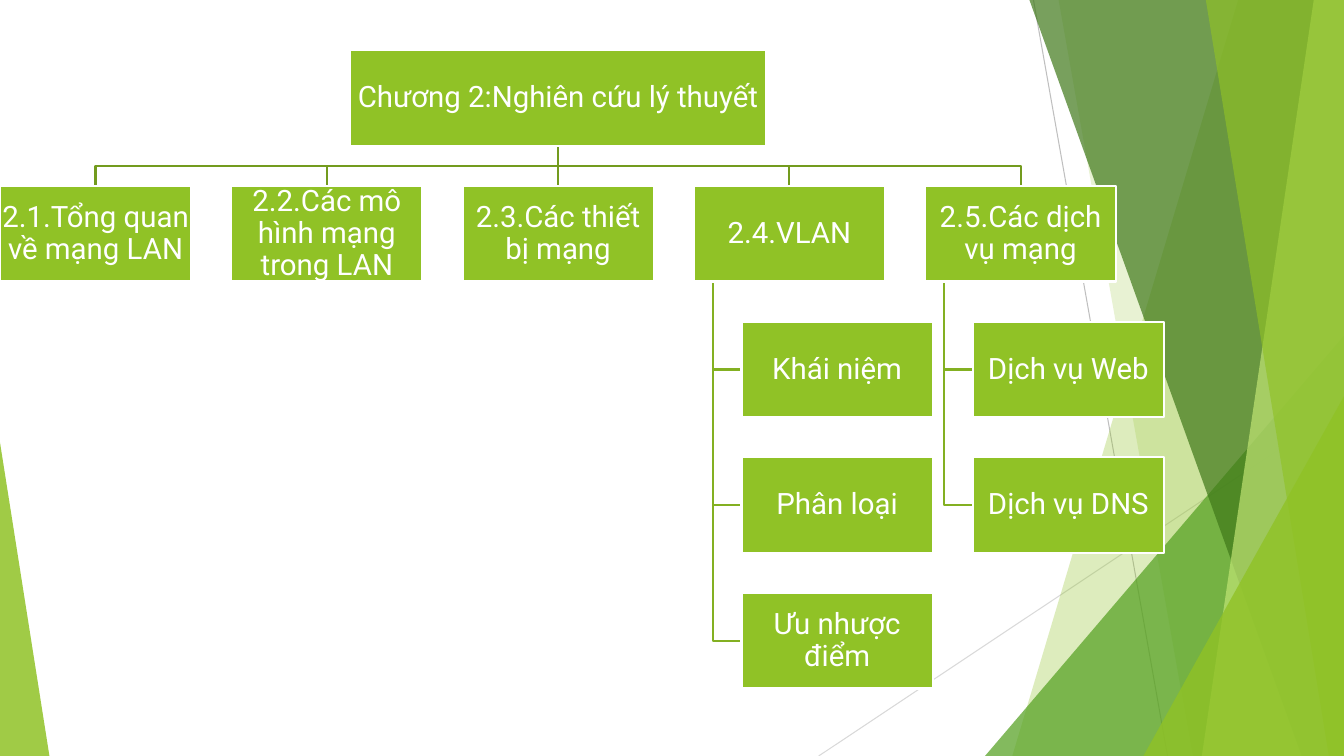
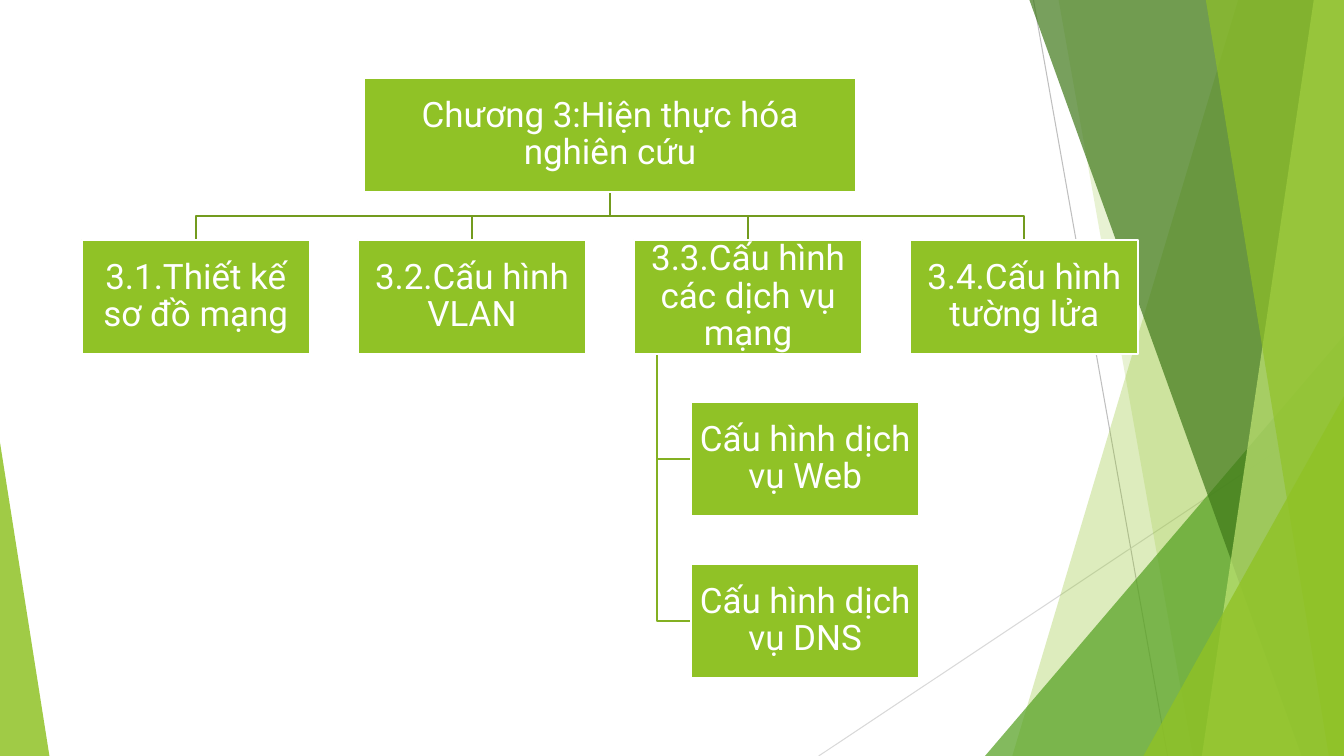
from lxml import etree
from pptx import Presentation
from pptx.dml.color import RGBColor
from pptx.enum import shapes as es, text as et
from pptx.oxml import ns
from pptx.util import Inches, Pt

WIDE, HIGH = 13.33, 7.5
FONT = "Roboto"
HUES = {
    "white": "FFFFFF", "lime": "90C226", "pale": "C0E474",
    "leaf": "54A021", "forest": "3F7819", "stem": "739B1E",
    "twig": "83B022", "gray": "BFBFBF", "mist": "D9D9D9",
}
# Proportions of the tree, as parts of the box width
RATIO = {"high": 0.5, "gap": 0.21, "spine": 0.1, "indent": 0.25}

RAYS = [
    ((10.25, 0), (11.58, HIGH), "gray"),
    ((WIDE, 4.03), (8.12, HIGH), "mist"),
]
# Facets: top-left x, bottom-left x, hue, opacity; all reach the right edge
# Corners: left, top, width, apex, hue, opacity; all reach the bottom edge
FACETS = [
    ("facet", 12.28, 10.04, "lime", 30),
    ("facet", 10.5, 11.83, "lime", 20),
    ("corner", 9.77, 3.33, 3.56, 1, "leaf", 72),
    ("facet", 10.21, 12.91, "forest", 70),
    ("facet", 13.03, 11.92, "pale", 70),
    ("facet", 11.96, 13.18, "lime", 65),
    ("corner", 11.34, 3.93, 1.99, 1, "lime", 80),
    ("corner", 0, 4.39, 0.49, 0, "lime", 85),
]

CHARTS = [
    {
        "title": "Chương 2:Nghiên cứu lý thuyết",
        "left": 0, "right": 11.07, "top": 0.5, "root": 4.12,
        "size": 21, "inset": 0.01,
        "items": [
            ("2.1.Tổng quan về mạng LAN", []),
            ("2.2.Các mô hình mạng trong LAN", []),
            ("2.3.Các thiết bị mạng", []),
            ("2.4.VLAN", ["Khái niệm", "Phân loại", "Ưu nhược điểm"]),
            ("2.5.Các dịch vụ mạng", ["Dịch vụ Web", "Dịch vụ DNS"]),
        ],
    },
    {
        "title": "Chương 3:Hiện thực hóa nghiên cứu",
        "left": 0.81, "right": 11.29, "top": 0.77, "root": 4.89,
        "size": 25, "inset": 0.02,
        "items": [
            ("3.1.Thiết kế sơ đồ mạng", []),
            ("3.2.Cấu hình VLAN", []),
            ("3.3.Cấu hình các dịch vụ mạng",
             ["Cấu hình dịch vụ Web", "Cấu hình dịch vụ DNS"]),
            ("3.4.Cấu hình tường lửa", []),
        ],
    },
]


def hue(name):
    return RGBColor.from_string(HUES[name])


def assign(obj, **values):
    for key, value in values.items():
        setattr(obj, key, value)


def paint(shape, name, alpha=100):
    shape.shadow.inherit = False
    shape.fill.solid()
    shape.fill.fore_color.rgb = hue(name)
    if alpha < 100:
        tint = shape.element.spPr.find(".//" + ns.qn("a:srgbClr"))
        etree.SubElement(tint, ns.qn("a:alpha"), val=str(alpha * 1000))


def stroke(shape, name, width):
    shape.line.color.rgb = hue(name)
    shape.line.width = Pt(width)


def line(slide, start, end, name, width):
    ends = [Inches(n) for n in (*start, *end)]
    link = slide.shapes.add_connector(es.MSO_CONNECTOR.STRAIGHT, *ends)
    stroke(link, name, width)
    etree.SubElement(link.element.spPr, ns.qn("a:effectLst"))
    return link


def outline(slide, dots, close):
    dots = [(Inches(x), Inches(y)) for x, y in dots]
    pen = slide.shapes.build_freeform(*dots[0])
    pen.add_line_segments(dots[1:], close=close)
    return pen.convert_to_shape()


def elbow(slide, dots, name):
    """Draw an open, bent branch of the tree."""
    shape = outline(slide, dots, False)
    shape.shadow.inherit = False
    shape.fill.background()
    stroke(shape, name, 1.5)


def facet(slide, top, foot, name, alpha):
    dots = [(top, 0), (WIDE, 0), (WIDE, HIGH), (foot, HIGH)]
    shape = outline(slide, dots, True)
    paint(shape, name, alpha)
    shape.line.fill.background()
    return shape


def corner(slide, left, top, width, apex, name, alpha):
    area = [Inches(n) for n in (left, top, width, HIGH - top)]
    shape = slide.shapes.add_shape(es.MSO_SHAPE.ISOSCELES_TRIANGLE, *area)
    shape.adjustments[0] = apex
    paint(shape, name, alpha)
    shape.line.fill.background()
    return shape


def prune(page):
    """Remove every placeholder but the title."""
    for holder in list(page.placeholders):
        if holder.placeholder_format.idx:
            holder.element.getparent().remove(holder.element)


def adorn(slide):
    """Draw the shared backdrop and hand it over to the slide's layout."""
    layout = slide.slide_layout
    prune(layout)
    kinds = {"facet": facet, "corner": corner}
    parts = [line(slide, *ray, 0.75) for ray in RAYS]
    parts += [kinds[kind](slide, *args) for kind, *args in FACETS]
    for part in parts:
        layout.shapes.element.append(part.element)


def box(slide, words, area, chart, shape=None):
    """Format a text box of the tree; a given shape is moved to the front."""
    left, top, width, height = [Inches(n) for n in area]
    if shape is None:
        shape = slide.shapes.add_shape(
            es.MSO_SHAPE.RECTANGLE, left, top, width, height)
    else:
        assign(shape, left=left, top=top, width=width, height=height)
        slide.shapes.element.append(shape.element)
    paint(shape, "lime")
    stroke(shape, "white", 1.5)
    frame = shape.text_frame
    pad = Inches(chart["inset"])
    assign(frame, text=words, word_wrap=True,
           auto_size=et.MSO_AUTO_SIZE.NONE,
           vertical_anchor=et.MSO_ANCHOR.MIDDLE,
           margin_left=pad, margin_right=pad,
           margin_top=pad, margin_bottom=pad)
    para = frame.paragraphs[0]
    assign(para, alignment=et.PP_ALIGN.CENTER, line_spacing=0.9)
    font = para.runs[0].font
    assign(font, name=FONT, size=Pt(chart["size"]))
    font.color.rgb = hue("white")


def branch(slide, left, top, kids, sizes, chart):
    """Hang the kids on a spine below the box at left, top."""
    width, high, gap = sizes
    spine = left + RATIO["spine"] * width
    edge = left + RATIO["indent"] * width
    for row, kid in enumerate(kids, 1):
        y = top + (high + gap) * row
        mid = y + high / 2
        elbow(slide, [(spine, top + high), (spine, mid), (edge, mid)], "twig")
        box(slide, kid, (edge, y, width, high), chart)


def drop(slide, mid, x, top, gap):
    """Link the root, centred on mid, to the box centred on x."""
    start, end, bus = (mid, top - gap), (x, top), top - gap / 2
    if abs(mid - x) < 0.01:
        line(slide, start, end, "stem", 1.5)
    else:
        elbow(slide, [start, (mid, bus), (x, bus), end], "stem")


def tree(slide, chart):
    items = chart["items"]
    count = len(items)
    span = chart["right"] - chart["left"]
    width = span / (count + RATIO["gap"] * (count - 1))
    high, gap = RATIO["high"] * width, RATIO["gap"] * width
    top = chart["top"] + high + gap
    mid = chart["left"] + span / 2
    for col, (words, kids) in enumerate(items):
        left = chart["left"] + (width + gap) * col
        drop(slide, mid, left + width / 2, top, gap)
        branch(slide, left, top, kids, (width, high, gap), chart)
        box(slide, words, (left, top, width, high), chart)
    root = chart["root"]
    box(slide, chart["title"], (mid - root / 2, chart["top"], root, high),
        chart, slide.shapes.title)


def main():
    deck = Presentation()
    assign(deck, slide_width=Inches(WIDE), slide_height=Inches(HIGH))
    layout = deck.slide_layouts.get_by_name("Title Only")
    slides = [deck.slides.add_slide(layout) for _ in CHARTS]
    adorn(slides[0])
    for slide, chart in zip(slides, CHARTS):
        prune(slide)
        tree(slide, chart)
    deck.save("out.pptx")


if __name__ == "__main__":
    main()
